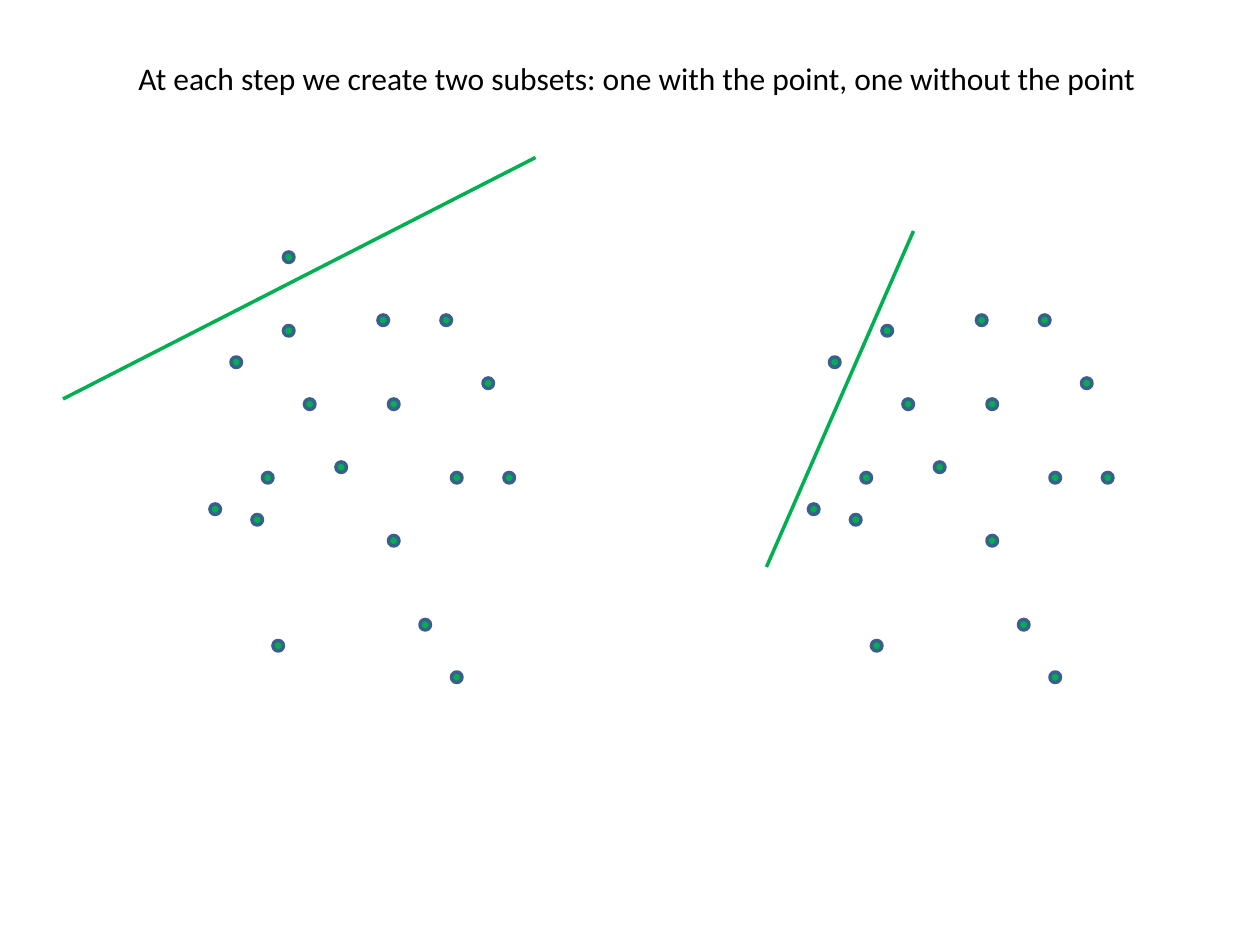
"""Build a slide on splitting a point set into two subsets."""
import dataclasses

import pptx
import pptx.dml.color
import pptx.enum.shapes
import pptx.enum.text
import pptx.oxml.ns
import pptx.util
from lxml import etree

EMU_PER_PX = 9525
CELL = 8
COPY_SHIFT = 57 * CELL
REMOVED_POINT = (27, 24)
SHARED_POINTS = [
    (32, 44), (22, 34), (27, 31), (29, 38), (36, 30), (37, 38),
    (42, 30), (24, 49), (37, 51), (25, 45), (43, 45), (46, 36),
    (43, 64), (40, 59), (26, 61), (20, 48), (48, 45),
]


@dataclasses.dataclass(frozen=True)
class Theme:
    """Colours and type sizes of the slide."""

    green: str = "00B050"
    outline: str = "3A5F8C"
    text: str = "000000"
    font: str = "Calibri"
    text_pt: int = 18
    line_pt: int = 2


THEME = Theme()


def px(n):
    """Turn px into EMU."""
    return pptx.util.Emu(n * EMU_PER_PX)


def rgb(value):
    """Turn a hex string into a colour."""
    return pptx.dml.color.RGBColor.from_string(value)


def style_line(line, color):
    """Set the colour and width of a line."""
    line.color.rgb = rgb(color)
    line.width = pptx.util.Pt(THEME.line_pt)


def add_point(shapes, x, y):
    """Draw one point of the set."""
    oval = pptx.enum.shapes.MSO_SHAPE.OVAL
    s = shapes.add_shape(oval, px(x), px(y), px(CELL), px(CELL))
    s.shadow.inherit = False
    s.fill.solid()
    s.fill.fore_color.rgb = rgb(THEME.green)
    style_line(s.line, THEME.outline)


def add_points(shapes, cells, shift=0):
    """Draw points given in grid cells, moved right by shift px."""
    for column, row in cells:
        add_point(shapes, column * CELL + shift, row * CELL)


def add_separator(shapes, x1, y1, x2, y2):
    """Draw a straight separating line."""
    straight = pptx.enum.shapes.MSO_CONNECTOR.STRAIGHT
    s = shapes.add_connector(straight, px(x1), px(y1), px(x2), px(y2))
    style_line(s.line, THEME.green)
    etree.SubElement(s._element.spPr, pptx.oxml.ns.qn("a:effectLst"))


def add_caption(shapes, text, x, y, w, h):
    """Write a one-line caption."""
    tf = shapes.add_textbox(px(x), px(y), px(w), px(h)).text_frame
    tf.word_wrap = False
    tf.auto_size = pptx.enum.text.MSO_AUTO_SIZE.SHAPE_TO_FIT_TEXT
    p = tf.paragraphs[0]
    r = p.add_run()
    r.text = text
    r.font.name = THEME.font
    r.font.size = pptx.util.Pt(THEME.text_pt)
    r.font.color.rgb = rgb(THEME.text)


def main():
    """Build and save the slide."""
    prs = pptx.Presentation()
    prs.slide_width, prs.slide_height = px(960), px(720)
    shapes = prs.slides.add_slide(prs.slide_layouts[6]).shapes

    with_point = shapes.add_group_shape().shapes
    add_points(with_point, [REMOVED_POINT, *SHARED_POINTS])
    add_separator(with_point, 48, 304, 408, 120)

    add_points(shapes, SHARED_POINTS, COPY_SHIFT)
    add_separator(shapes, 584, 432, 696, 176)

    add_caption(
        shapes,
        "At each step we create two subsets: one with the point, one without the point",
        96, 40, 789, 38,
    )
    prs.save("out.pptx")


if __name__ == "__main__":
    main()
